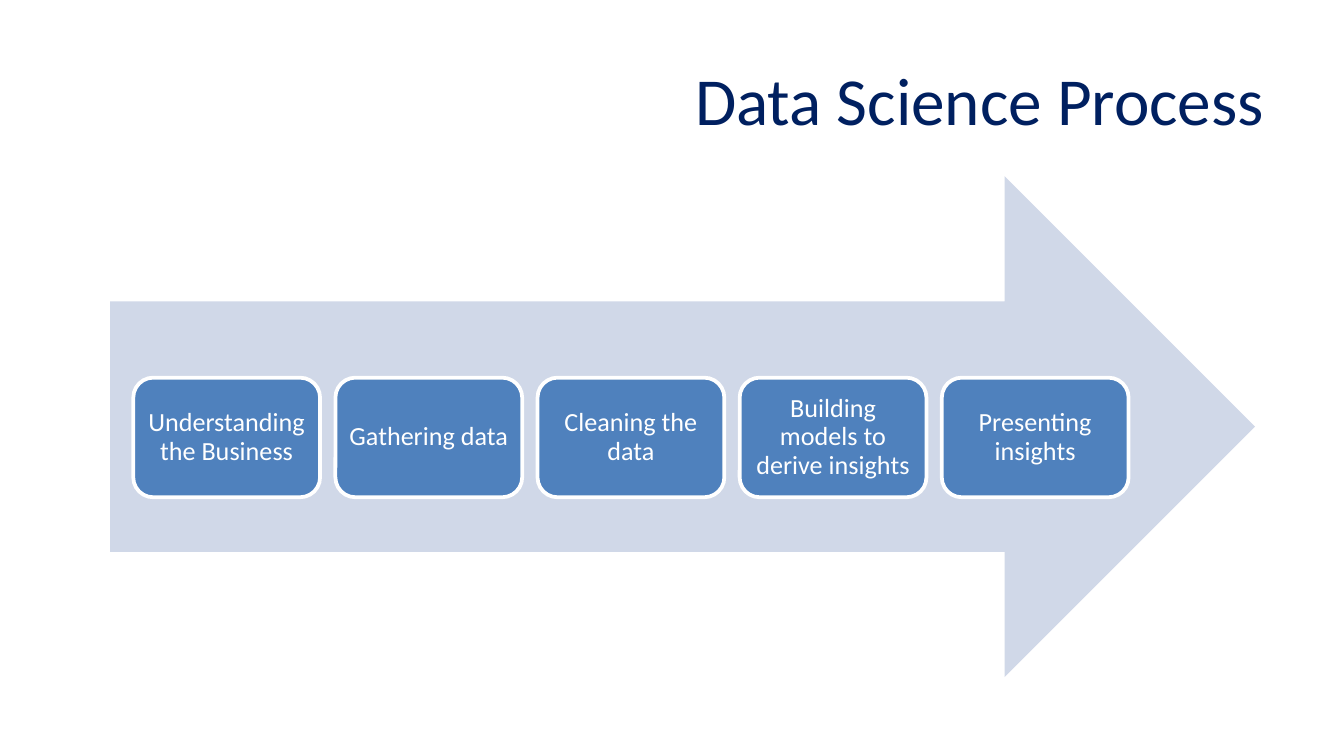
from pptx import Presentation
from pptx.dml.color import RGBColor
from pptx.enum.shapes import MSO_SHAPE
from pptx.enum.text import MSO_ANCHOR, PP_ALIGN
from pptx.util import Cm, Pt

ARROW = MSO_SHAPE.RIGHT_ARROW
ROUND = MSO_SHAPE.ROUNDED_RECTANGLE
MIDDLE = MSO_ANCHOR.MIDDLE
CENTER = PP_ALIGN.CENTER
RIGHT = PP_ALIGN.RIGHT

FONT = "Calibri"
COLORS = {"title": "002060", "arrow": "D0D8E8", "step": "4F81BD", "white": "FFFFFF"}
STEPS = [
    "Understanding the Business",
    "Gathering data",
    "Cleaning the data",
    "Building models to derive insights",
    "Presenting insights",
]
LEFT, TOP, WIDTH, HEIGHT, PITCH = 2.52, 7.14, 3.53, 2.26, 3.82


class Deck:
    def __init__(self, slide):
        self.slide = slide

    def color(self, name):
        return RGBColor.from_string(COLORS[name])

    def label(self, frame, text, size, color, align):
        frame.text = text
        frame.word_wrap = True
        frame.vertical_anchor = MIDDLE
        para = frame.paragraphs[0]
        para.alignment = align
        for run in para.runs:
            run.font.name = FONT
            run.font.size = Pt(size)
            run.font.color.rgb = self.color(color)
        return para

    def title(self, text, left, top, width, height):
        box = self.slide.shapes.title
        box.left, box.top = Cm(left), Cm(top)
        box.width, box.height = Cm(width), Cm(height)
        self.label(box.text_frame, text, 36, "title", RIGHT)

    def shape(self, kind, left, top, width, height, fill):
        shape = self.slide.shapes.add_shape(
            kind, Cm(left), Cm(top), Cm(width), Cm(height))
        shape.shadow.inherit = False
        shape.fill.solid()
        shape.fill.fore_color.rgb = self.color(fill)
        shape.line.fill.background()
        return shape

    def step(self, text, left, top, width, height):
        box = self.shape(ROUND, left, top, width, height, "step")
        box.line.color.rgb = self.color("white")
        box.line.width = Pt(2)
        frame = box.text_frame
        frame.margin_left = frame.margin_right = Cm(0.15)
        frame.margin_top = frame.margin_bottom = Cm(0.15)
        para = self.label(frame, text, 14, "white", CENTER)
        para.line_spacing = 0.9


def main():
    prs = Presentation()
    prs.slide_width, prs.slide_height = Cm(25.4), Cm(14.29)
    deck = Deck(prs.slides.add_slide(prs.slide_layouts[5]))
    deck.title("Data Science Process", 1.24, 0.79, 22.91, 2.13)
    deck.shape(ARROW, 2.08, 3.33, 21.64, 9.47, "arrow")
    for i, text in enumerate(STEPS):
        deck.step(text, LEFT + i * PITCH, TOP, WIDTH, HEIGHT)
    prs.save("out.pptx")


if __name__ == "__main__":
    main()
